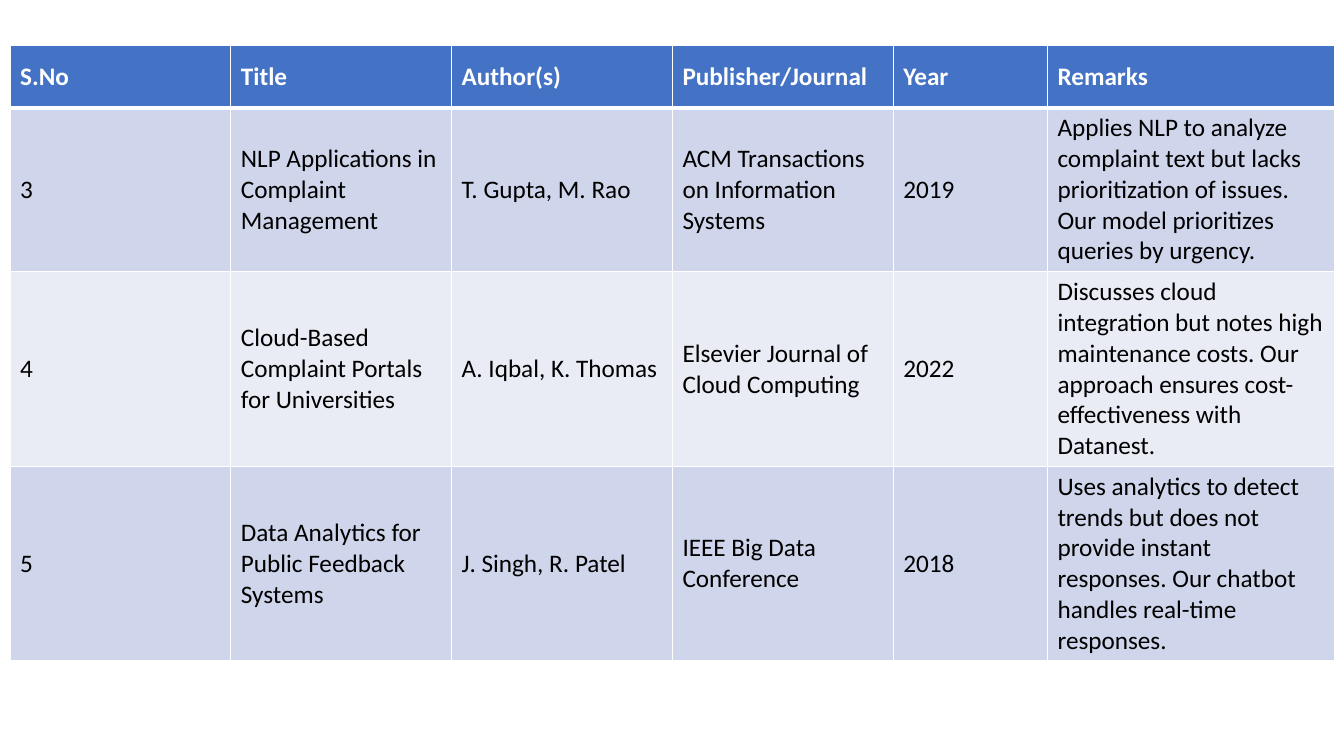
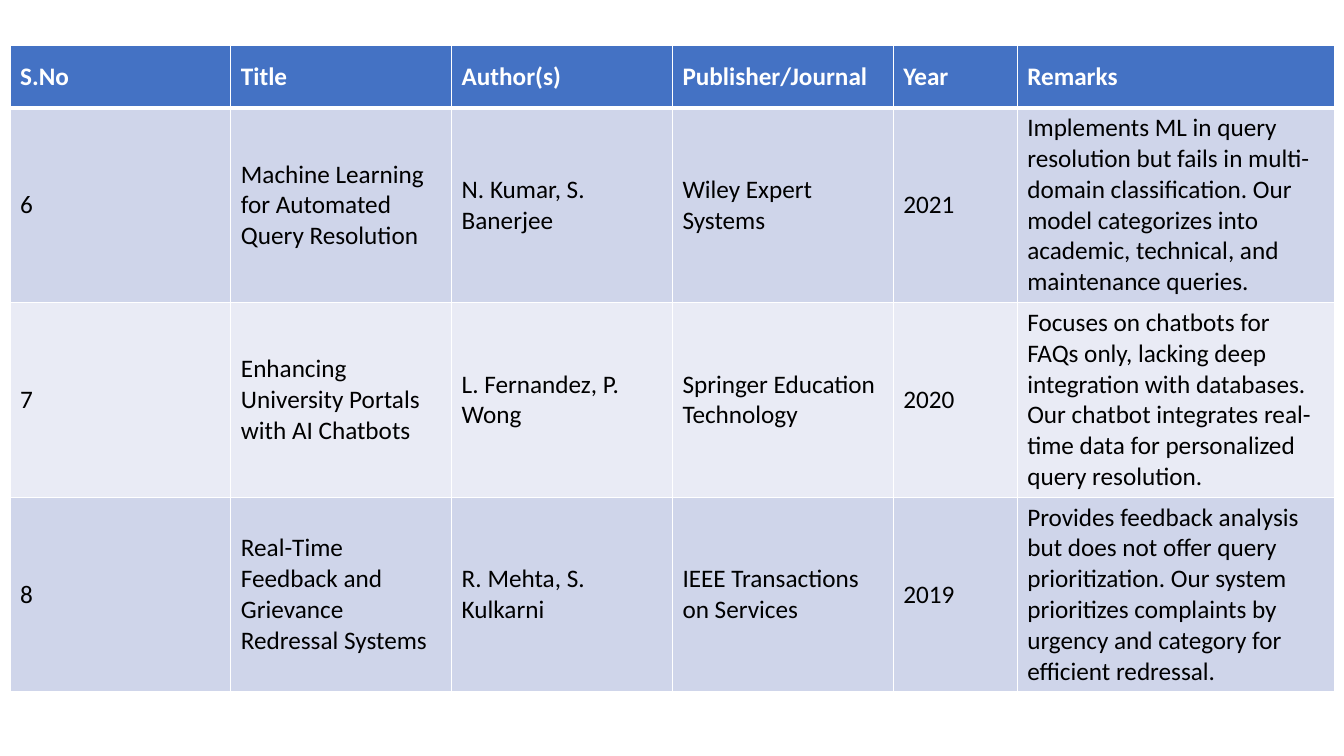
from lxml import etree
from pptx import Presentation
from pptx.dml.color import RGBColor
from pptx.enum.text import MSO_ANCHOR
from pptx.oxml.ns import qn
from pptx.util import Inches, Pt

MIDDLE = MSO_ANCHOR.MIDDLE

COLORS = {
    "header": "4472C4",
    "band_dark": "CFD5EA",
    "band_light": "E9EBF5",
    "border": "FFFFFF",
    "header_text": "FFFFFF",
    "body_text": "000000",
}
FONT = "Calibri"
FONT_SIZE = 18
THIN, THICK = 1, 3

SLIDE_WIDTH, SLIDE_HEIGHT = 13.33, 7.5
TABLE_LEFT, TABLE_TOP = 0.1, 0.45
COLUMN_WIDTH = 2.19
LAST_TWO_WIDTH = 4.38
HEADER_HEIGHT = 0.62
LINE_HEIGHT, CELL_PADDING = 0.3, 0.1

HEADINGS = ["S.No", "Title", "Author(s)", "Publisher/Journal", "Year", "Remarks"]

SURVEYS = [
    {
        "year_width": 1.53,
        "remark_lines": [5, 6, 6],
        "papers": [
            ["3", "NLP Applications in Complaint Management", "T. Gupta, M. Rao",
             "ACM Transactions on Information Systems", "2019",
             "Applies NLP to analyze complaint text but lacks prioritization of issues. "
             "Our model prioritizes queries by urgency."],
            ["4", "Cloud-Based Complaint Portals for Universities", "A. Iqbal, K. Thomas",
             "Elsevier Journal of Cloud Computing", "2022",
             "Discusses cloud integration but notes high maintenance costs. "
             "Our approach ensures cost-effectiveness with Datanest."],
            ["5", "Data Analytics for Public Feedback Systems", "J. Singh, R. Patel",
             "IEEE Big Data Conference", "2018",
             "Uses analytics to detect trends but does not provide instant responses. "
             "Our chatbot handles real-time responses."],
        ],
    },
    {
        "year_width": 1.23,
        "remark_lines": [6, 6, 6],
        "papers": [
            ["6", "Machine Learning for Automated Query Resolution", "N. Kumar, S. Banerjee",
             "Wiley Expert Systems", "2021",
             "Implements ML in query resolution but fails in multi-domain classification. "
             "Our model categorizes into academic, technical, and maintenance queries."],
            ["7", "Enhancing University Portals with AI Chatbots", "L. Fernandez, P. Wong",
             "Springer Education Technology", "2020",
             "Focuses on chatbots for FAQs only, lacking deep integration with databases. "
             "Our chatbot integrates real-time data for personalized query resolution."],
            ["8", "Real-Time Feedback and Grievance Redressal Systems", "R. Mehta, S. Kulkarni",
             "IEEE Transactions on Services", "2019",
             "Provides feedback analysis but does not offer query prioritization. "
             "Our system prioritizes complaints by urgency and category for efficient redressal."],
        ],
    },
]


def set_borders(cell, top, bottom):
    """Draw the four cell borders, with the given top and bottom widths in points."""
    properties = cell._tc.get_or_add_tcPr()
    for side, width in (("L", THIN), ("R", THIN), ("T", top), ("B", bottom)):
        line = etree.SubElement(properties, qn(f"a:ln{side}"), w=str(Pt(width)))
        fill = etree.SubElement(line, qn("a:solidFill"))
        etree.SubElement(fill, qn("a:srgbClr"), val=COLORS["border"])


def fill_cell(cell, text, row_index):
    """Write one cell and style it by its row."""
    is_header = row_index == 0
    set_borders(cell, THICK if row_index == 1 else THIN, THICK if is_header else THIN)
    band = "header" if is_header else "band_dark" if row_index % 2 else "band_light"
    cell.fill.solid()
    cell.fill.fore_color.rgb = RGBColor.from_string(COLORS[band])
    cell.vertical_anchor = MIDDLE
    run = cell.text_frame.paragraphs[0].add_run()
    run.text = text
    run.font.name = FONT
    run.font.size = Pt(FONT_SIZE)
    run.font.bold = is_header
    text_color = COLORS["header_text" if is_header else "body_text"]
    run.font.color.rgb = RGBColor.from_string(text_color)


def add_survey_table(slide, survey, left, top):
    """Place a literature survey table with its upper left corner at the given point."""
    year_width = survey["year_width"]
    widths = [COLUMN_WIDTH] * 4 + [year_width, LAST_TWO_WIDTH - year_width]
    heights = [HEADER_HEIGHT]
    heights += [CELL_PADDING + LINE_HEIGHT * lines for lines in survey["remark_lines"]]
    rows = [HEADINGS] + survey["papers"]
    frame = slide.shapes.add_table(
        len(rows), len(widths), Inches(left), Inches(top),
        Inches(sum(widths)), Inches(sum(heights)))
    table = frame.table
    table.horz_banding = False
    for column, width in zip(table.columns, widths):
        column.width = Inches(width)
    for row_index, (row, height) in enumerate(zip(rows, heights)):
        table.rows[row_index].height = Inches(height)
        for column_index, text in enumerate(row):
            fill_cell(table.cell(row_index, column_index), text, row_index)


def main():
    """Build the survey slides and save the presentation."""
    presentation = Presentation()
    presentation.slide_width = Inches(SLIDE_WIDTH)
    presentation.slide_height = Inches(SLIDE_HEIGHT)
    blank_layout = presentation.slide_layouts[6]
    for survey in SURVEYS:
        slide = presentation.slides.add_slide(blank_layout)
        add_survey_table(slide, survey, TABLE_LEFT, TABLE_TOP)
    presentation.save("out.pptx")


if __name__ == "__main__":
    main()
